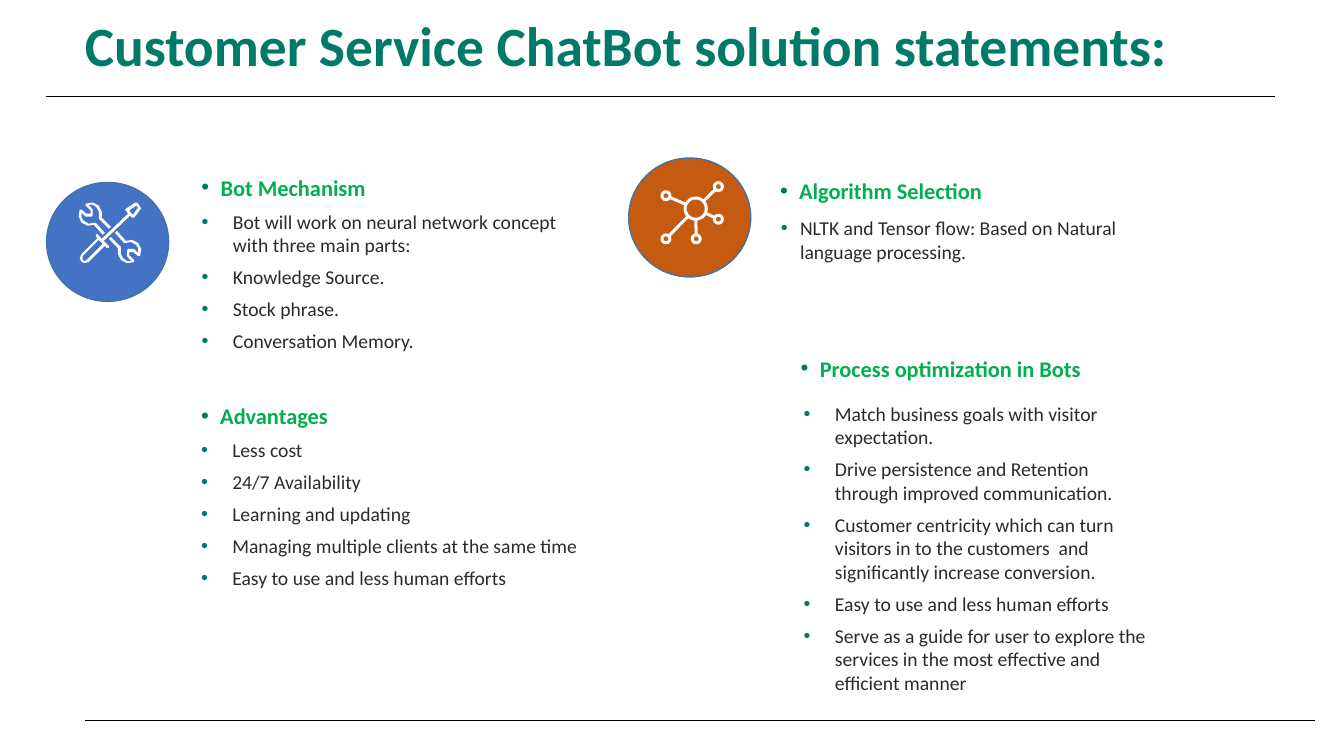
from math import atan2, cos, dist, pi, sin

from lxml.etree import SubElement
from pptx import Presentation
from pptx.dml.color import RGBColor
from pptx.enum.shapes import MSO_CONNECTOR, MSO_SHAPE
from pptx.enum.text import MSO_ANCHOR, MSO_AUTO_SIZE, PP_ALIGN
from pptx.oxml.ns import qn
from pptx.util import Inches, Pt

TEAL = RGBColor(0x00, 0x7A, 0x68)
GREEN = RGBColor(0x00, 0xB0, 0x50)
CHARCOAL = RGBColor(0x2A, 0x2C, 0x28)
BLUE = RGBColor(0x44, 0x72, 0xC4)
ORANGE = RGBColor(0xC5, 0x5A, 0x11)
DISC_EDGE = RGBColor(0x43, 0x73, 0x9E)
WHITE = RGBColor(0xFF, 0xFF, 0xFF)
BLACK = RGBColor(0x00, 0x00, 0x00)

# The slide is a grid of 100 columns by 100 rows
SLIDE_WIDTH, SLIDE_HEIGHT = Inches(13.33), Inches(7.5)
# Icons are drawn on finer grids, in parts of an inch
TOOLS_UNIT = Inches(1) / 100
NETWORK_UNIT = Inches(1) / 1000

TITLE_FONT = {"name": "Calibri", "size": Pt(39.6), "bold": True}
HEADING_FONT = {"name": "Calibri", "size": Pt(16), "bold": True}
BODY_FONT = {"name": "Calibri", "size": Pt(14), "bold": False}
HEADING_INDENT, BODY_INDENT = Inches(0.19), Inches(0.31)

# Heading, its box, body box, body indent, body items
SECTIONS = [
    ("Bot Mechanism", (14.25, 22.32, 25.05, 4), (14.27, 27.07, 29.93, 16.8), BODY_INDENT, [
        "Bot will work on neural network concept with three main parts:",
        "Knowledge Source.",
        "Stock phrase.",
        "Conversation Memory.",
    ]),
    ("Advantages", (14.22, 52.53, 25.05, 4), (14.22, 57.33, 29.93, 16.8), BODY_INDENT, [
        "Less cost",
        "24/7 Availability",
        "Learning and updating",
        "Managing multiple clients at the same time",
        "Easy to use and less human efforts",
    ]),
    ("Algorithm Selection", (57.3, 22.8, 30.3, 4), (57.36, 27.95, 30.3, 10.13), HEADING_INDENT, [
        "NLTK and Tensor flow: Based on Natural language processing.",
    ]),
    ("Process optimization in Bots", (58.83, 46.27, 25.05, 4), (59.06, 52.49, 27.15, 39.47), BODY_INDENT, [
        "Match business goals with visitor expectation.",
        "Drive persistence and Retention through improved communication.",
        "Customer centricity which can turn visitors in to the customers  and "
        "significantly increase conversion.",
        "Easy to use and less human efforts",
        "Serve as a guide for user to explore the services in the most effective "
        "and efficient manner",
    ]),
]

SCREWDRIVER = [
    [(139, 205), (136, 201), (134, 201), (125, 207), (124, 208), (125, 209), (127, 212),
     (101, 237), (97, 233), (96, 232), (95, 233), (95, 235), (97, 236), (81, 252),
     (79, 256), (81, 260), (84, 261), (88, 260), (104, 244), (106, 246), (108, 246),
     (108, 244), (103, 239), (129, 214), (131, 216), (133, 216), (140, 207)],
    [(132, 213), (128, 209), (135, 204), (137, 206)],
    [(86, 258), (84, 259), (82, 258), (82, 254), (98, 238), (102, 242)],
]
WRENCH = [
    (93, 223), (102, 233), (104, 231), (95, 221), (93, 221), (88, 222), (83, 219),
    (81, 216), (81, 211), (85, 215), (91, 215), (92, 214), (92, 208), (88, 203),
    (92, 203), (96, 206), (98, 210), (98, 217), (108, 227), (110, 225), (101, 216),
    (101, 210), (98, 204), (92, 201), (85, 202), (85, 204), (90, 209), (90, 212),
    (86, 212), (81, 208), (79, 208), (78, 215), (81, 221), (87, 224),
]
WRENCH_PIVOT = (109, 231)
HUB, HUB_RADIUS = (6900, 2070), 120
NODES, NODE_RADIUS = [(7125, 2175), (6905, 2370), (6605, 2370), (7125, 1852), (6605, 1942)], 54
STROKE = 30


def columns(count):
    return int(SLIDE_WIDTH * count / 100)


def rows(count):
    return int(SLIDE_HEIGHT * count / 100)


def grid_box(left, top, width, height):
    return columns(left), rows(top), columns(width), rows(height)


def set_format(target, values):
    for name, value in values.items():
        setattr(target, name, value)


def add_run(paragraph, text, font_values, color):
    run = paragraph.add_run()
    run.text = text
    set_format(run.font, font_values)
    run.font.color.rgb = color


def add_bullet(paragraph, indent):
    properties = paragraph._p.get_or_add_pPr()
    properties.set("marL", str(indent))
    properties.set("indent", str(-indent))
    bullet_color = SubElement(properties, qn("a:buClr"))
    SubElement(bullet_color, qn("a:srgbClr")).set("val", str(TEAL))
    SubElement(properties, qn("a:buFont")).set("typeface", "Arial")
    SubElement(properties, qn("a:buChar")).set("char", "•")


def add_bullet_list(slide, box, items, indent, font_values, color):
    text_frame = slide.shapes.add_textbox(*grid_box(*box)).text_frame
    text_frame.word_wrap = True
    for index, item in enumerate(items):
        paragraph = text_frame.add_paragraph() if index else text_frame.paragraphs[0]
        add_bullet(paragraph, indent)
        paragraph.space_before = Pt(6 if index else 0)
        add_run(paragraph, item, font_values, color)


def add_rule(slide, left, right, row):
    rule = slide.shapes.add_connector(
        MSO_CONNECTOR.STRAIGHT, columns(left), rows(row), columns(right), rows(row))
    rule.line.color.rgb = BLACK
    rule.line.width = Pt(0.5)
    SubElement(rule._element.spPr, qn("a:effectLst"))


def fill_shape(shape, color):
    shape.shadow.inherit = False
    shape.fill.solid()
    shape.fill.fore_color.rgb = color


def add_disc(slide, left, top, color):
    disc = slide.shapes.add_shape(MSO_SHAPE.OVAL, *grid_box(left, top, 9.08, 15.73))
    fill_shape(disc, color)
    disc.line.color.rgb = DISC_EDGE
    disc.line.width = Pt(1)


def add_outline(slide, contours, unit):
    builder = slide.shapes.build_freeform(*contours[0][0], scale=unit)
    for index, contour in enumerate(contours):
        if index:
            builder.move_to(*contour[0])
        builder.add_line_segments(contour[1:], close=True)
    outline = builder.convert_to_shape()
    fill_shape(outline, WHITE)
    outline.line.fill.background()


def add_tools_icon(slide):
    pivot_x, pivot_y = WRENCH_PIVOT
    turned_wrench = [(2 * pivot_x - x, 2 * pivot_y - y) for x, y in WRENCH]
    for contours in (SCREWDRIVER, [WRENCH], [turned_wrench]):
        add_outline(slide, contours, TOOLS_UNIT)


def ring(center, radius):
    steps = [2 * pi * step / 36 for step in range(36)]
    return [[(center[0] + reach * cos(angle), center[1] + reach * sin(angle))
             for angle in steps[::turn]]
            for reach, turn in ((radius, 1), (radius - STROKE, -1))]


def spoke(node):
    angle = atan2(node[1] - HUB[1], node[0] - HUB[0])
    near, far, half = HUB_RADIUS, dist(HUB, node) - NODE_RADIUS, STROKE / 2
    corners = [(near, -half), (far, -half), (far, half), (near, half)]
    return [(HUB[0] + along * cos(angle) - across * sin(angle),
             HUB[1] + along * sin(angle) + across * cos(angle))
            for along, across in corners]


def add_network_icon(slide):
    contours = ring(HUB, HUB_RADIUS)
    for node in NODES:
        contours += [*ring(node, NODE_RADIUS), spoke(node)]
    add_outline(slide, contours, NETWORK_UNIT)


def add_title(slide, text):
    title = slide.shapes.title
    left, top, width, height = grid_box(3.45, 3.2, 86.25, 7.87)
    set_format(title, {"left": left, "top": top, "width": width, "height": height})
    set_format(title.text_frame, {"vertical_anchor": MSO_ANCHOR.BOTTOM,
                                  "auto_size": MSO_AUTO_SIZE.NONE, "word_wrap": True})
    paragraph = title.text_frame.paragraphs[0]
    set_format(paragraph, {"alignment": PP_ALIGN.CENTER, "line_spacing": 0.9})
    add_run(paragraph, text, TITLE_FONT, TEAL)


def main():
    presentation = Presentation()
    set_format(presentation, {"slide_width": SLIDE_WIDTH, "slide_height": SLIDE_HEIGHT})
    slide = presentation.slides.add_slide(presentation.slide_layouts.get_by_name("Title Only"))
    add_title(slide, "Customer Service ChatBot solution statements:")
    # Icon discs
    add_disc(slide, 3.47, 24.13, BLUE)
    add_tools_icon(slide)
    add_disc(slide, 46.78, 20.9, ORANGE)
    add_network_icon(slide)
    # Text sections
    for heading, heading_box, body_box, body_indent, items in SECTIONS:
        add_bullet_list(slide, heading_box, [heading], HEADING_INDENT, HEADING_FONT, GREEN)
        add_bullet_list(slide, body_box, items, body_indent, BODY_FONT, CHARCOAL)
    # Rules below the title and at the foot
    add_rule(slide, 3.42, 94.88, 12.73)
    add_rule(slide, 6.34, 97.85, 95.33)
    presentation.save("out.pptx")


if __name__ == "__main__":
    main()
